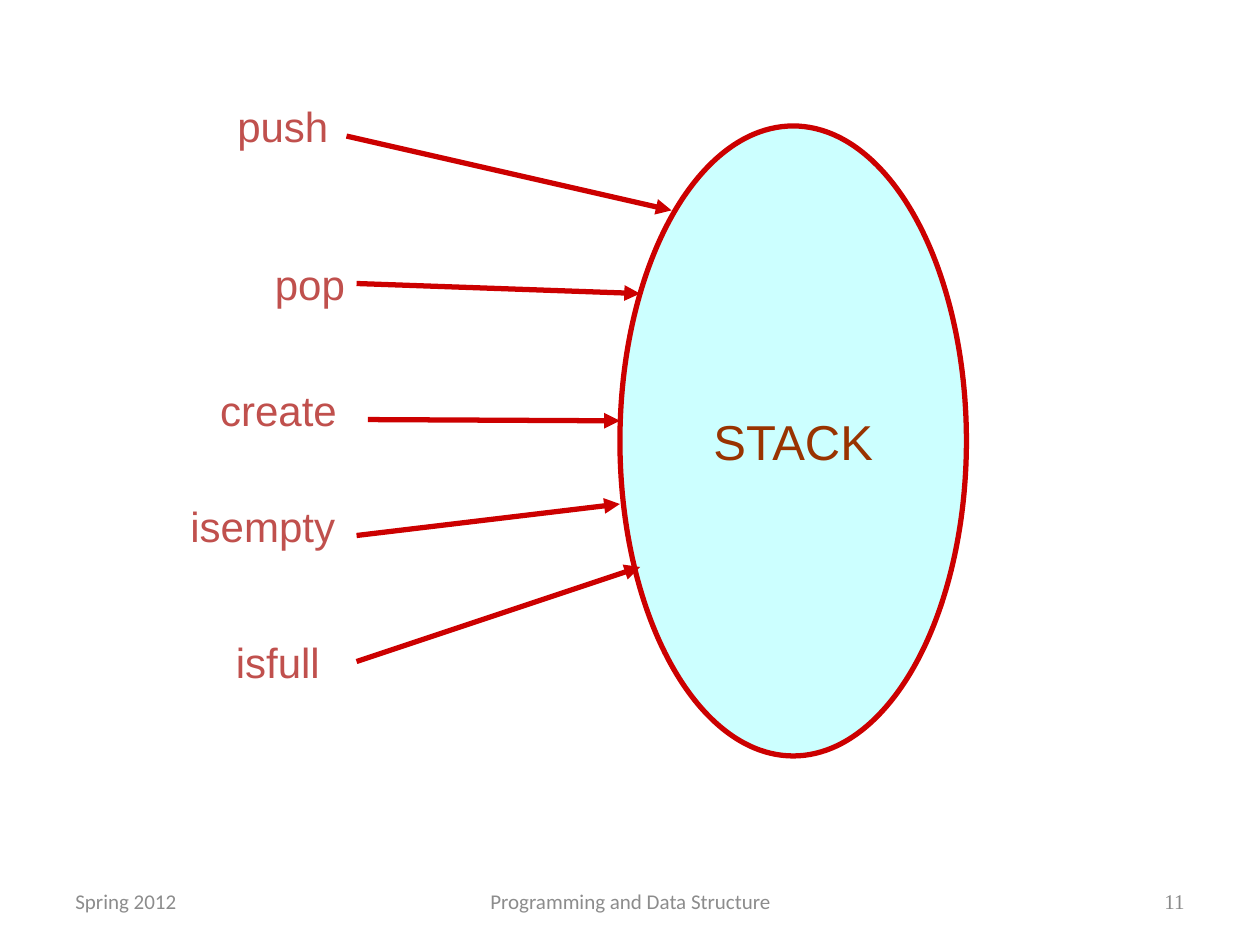
from lxml import etree
from pptx import Presentation
from pptx.dml.color import RGBColor
from pptx.enum.shapes import MSO_CONNECTOR, MSO_SHAPE
from pptx.enum.text import MSO_ANCHOR as Anchor, PP_ALIGN as Align
from pptx.oxml.ns import qn
from pptx.util import Inches, Pt

COLORS = {
    "red": "CC0000",
    "cyan": "CCFFFF",
    "brown": "993300",
    "label": "C0504D",
    "footer": "8C8C8C",
    "number": "898989",
}


class SlideBuilder:
    """Holds the style and the current slide."""

    font = "Arial"
    line_width = Pt(3)

    def __init__(self, slide):
        self.slide = slide

    def color(self, name):
        return RGBColor.from_string(COLORS[name])

    def set_text(self, shape, text, size, color, font, align, anchor,
                 wrap=True):
        frame = shape.text_frame
        frame.word_wrap = wrap
        frame.vertical_anchor = anchor
        paragraph = frame.paragraphs[0]
        paragraph.text = text
        paragraph.alignment = align
        paragraph.font.name = font
        paragraph.font.size = Pt(size)
        paragraph.font.color.rgb = self.color(color)

    def outline(self, line):
        line.color.rgb = self.color("red")
        line.width = self.line_width

    def text(self, box, text, size, color, font=font, align=Align.CENTER,
             anchor=Anchor.TOP):
        shape = self.slide.shapes.add_textbox(*map(Inches, box))
        self.set_text(shape, text, size, color, font, align, anchor)

    def ellipse(self, box, text):
        shape = self.slide.shapes.add_shape(MSO_SHAPE.OVAL, *map(Inches, box))
        shape.shadow.inherit = False
        shape.fill.solid()
        shape.fill.fore_color.rgb = self.color("cyan")
        self.outline(shape.line)
        self.set_text(shape, text, 28, "brown", self.font, Align.CENTER,
                      Anchor.MIDDLE, wrap=False)

    def arrow(self, start, end):
        connector = self.slide.shapes.add_connector(
            MSO_CONNECTOR.STRAIGHT, *map(Inches, start + end))
        self.outline(connector.line)
        properties = connector._element.spPr
        line = properties.find(qn("a:ln"))
        etree.SubElement(line, qn("a:tailEnd"), type="triangle")
        etree.SubElement(properties, qn("a:effectLst"))


def main():
    presentation = Presentation()
    presentation.slide_width = Inches(10)
    presentation.slide_height = Inches(7.5)
    builder = SlideBuilder(
        presentation.slides.add_slide(presentation.slide_layouts[6]))

    # Footer: left, width, text, colour, font, alignment
    footers = [
        (0.5, 2.33, "Spring 2012", "footer", "Calibri", Align.LEFT),
        (3.42, 3.17, "Programming and Data Structure", "footer", "Calibri",
         Align.CENTER),
        (7.17, 2.33, "11", "number", "Times New Roman", Align.RIGHT),
    ]
    for left, width, text, color, font, align in footers:
        builder.text((left, 6.95, width, 0.4), text, 12, color, font, align,
                     Anchor.MIDDLE)

    # The stack
    builder.ellipse((4.92, 1, 2.75, 5), "STACK")

    # Operations: name, label left, top and width, arrow start and end
    operations = [
        ("push", 1.58, 0.75, 1.33, (2.75, 1.08), (5.33, 1.67)),
        ("pop", 1.67, 2, 1.58, (2.83, 2.25), (5.08, 2.33)),
        ("create", 1.5, 3, 1.42, (2.92, 3.33), (4.92, 3.34)),
        ("isempty", 1.25, 3.92, 1.67, (2.83, 4.25), (4.92, 4)),
        ("isfull", 1.58, 5, 1.25, (2.83, 5.25), (5.08, 4.5)),
    ]
    for name, left, top, width, start, end in operations:
        builder.arrow(start, end)
        builder.text((left, top, width, 0.5), name, 24, "label")

    presentation.save("out.pptx")


if __name__ == "__main__":
    main()
